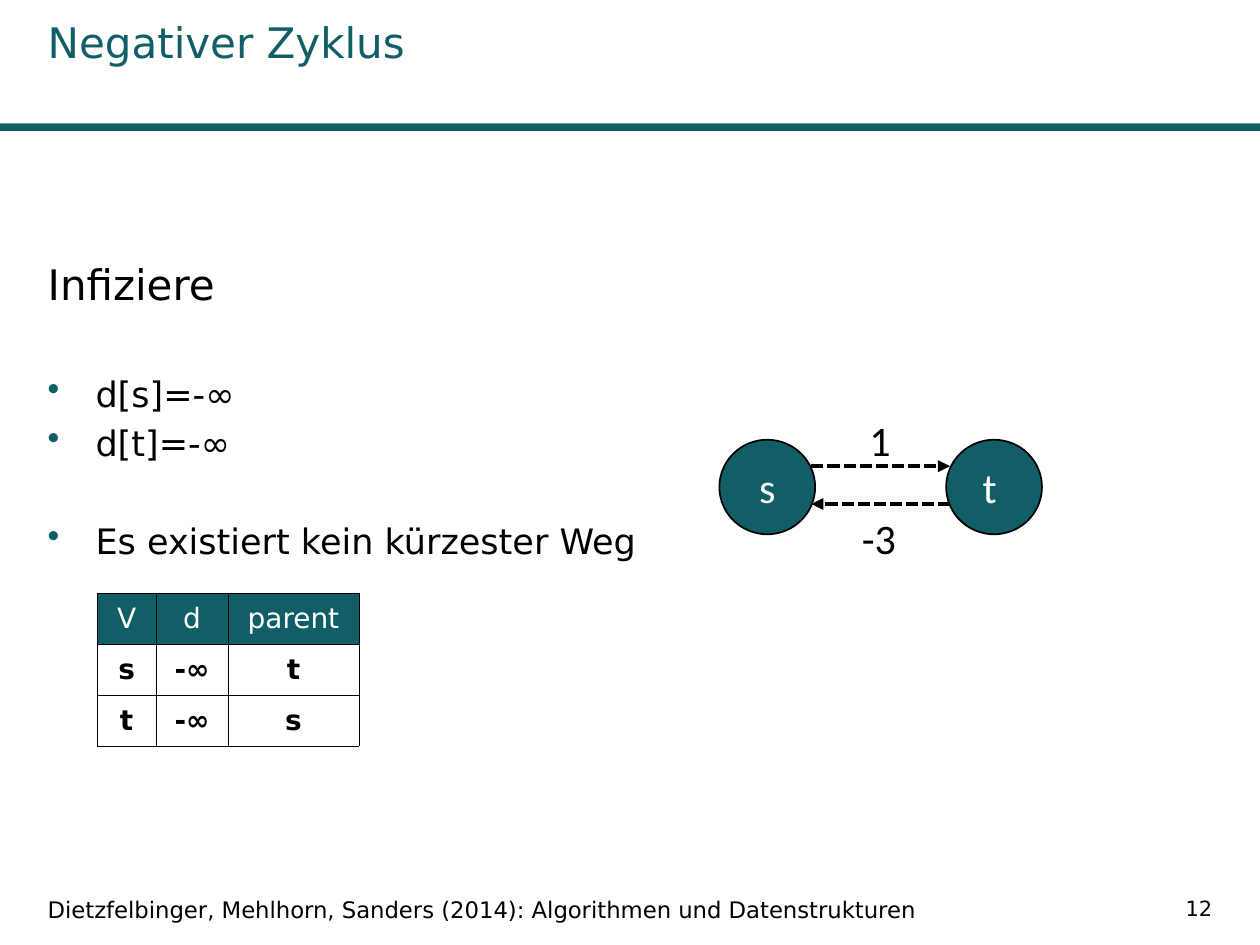
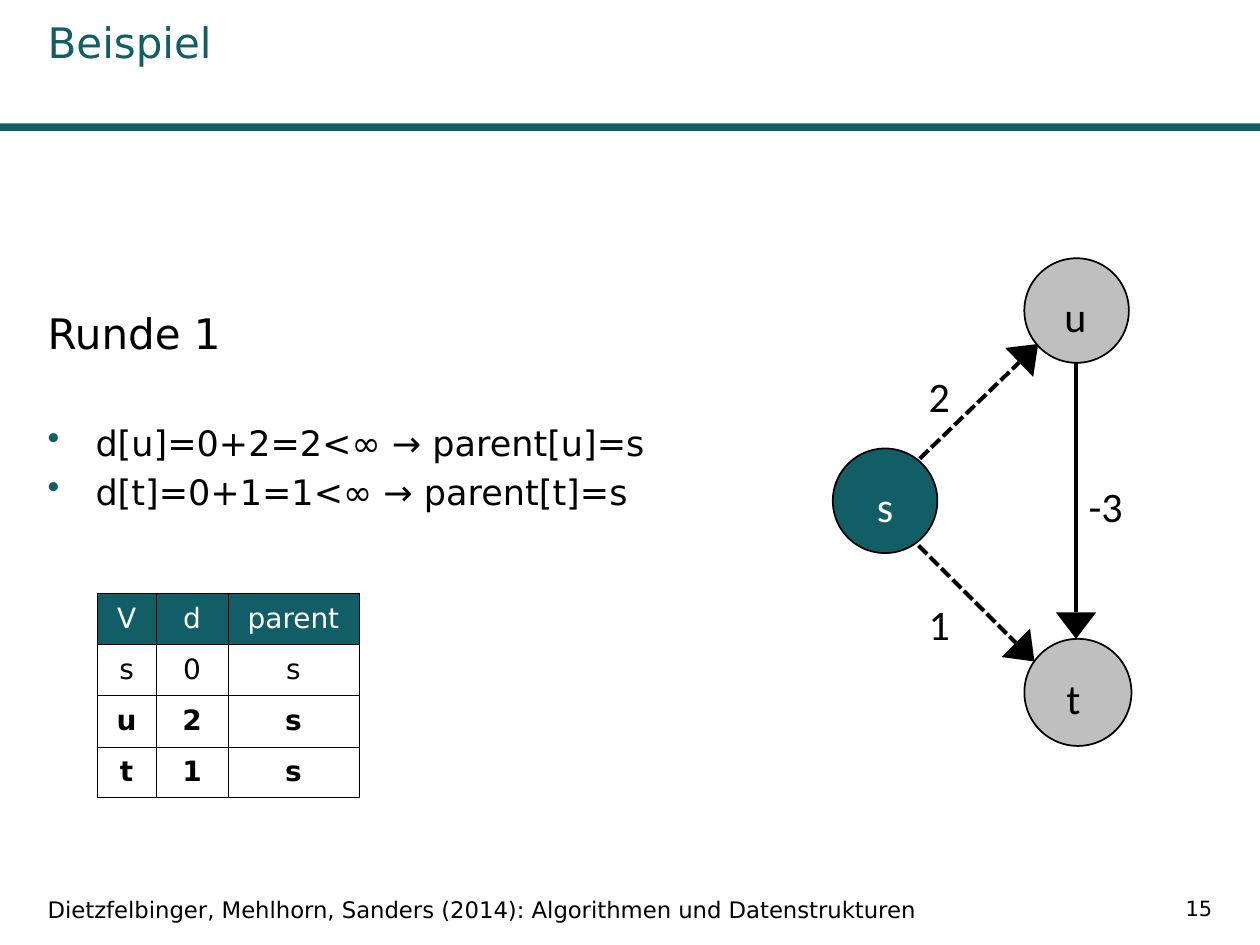
from dataclasses import dataclass
from math import hypot

from lxml.etree import SubElement
from pptx import Presentation
from pptx.dml.color import RGBColor
from pptx.enum.dml import MSO_LINE
from pptx.enum.shapes import MSO_CONNECTOR, MSO_SHAPE
from pptx.enum.text import MSO_ANCHOR as Anchor, PP_ALIGN as Align
from pptx.oxml.ns import qn
from pptx.slide import Slide
from pptx.util import Inches, Pt

COLOURS = {
    "teal": "115E67",
    "grey": "BFBFBF",
    "black": "000000",
    "white": "FFFFFF",
}
TEXT_FONT = "DejaVu Sans"
GRAPH_FONT = "Calibri"
SOURCE = "Dietzfelbinger, Mehlhorn, Sanders (2014): Algorithmen und Datenstrukturen"
TABLE_HEADER = ("V", "d", "parent")
COLUMN_WIDTHS = (0.47, 0.57, 1.04)
EDGE_WIDTH = 2.3
HEAD_LENGTH = 0.21
HEAD_HALF_WIDTH = 0.16


@dataclass
class Node:
    label: str
    left: float
    top: float
    width: float
    height: float
    fill: str = "teal"
    colour: str = "white"
    shift_left: float = 0
    shift_down: float = 0


@dataclass
class Edge:
    start: tuple[float, float]
    tip: tuple[float, float]
    dashed: bool = True
    large_head: bool = False


@dataclass
class Weight:
    value: str
    left: float
    top: float


@dataclass
class Bullet:
    text: str
    space_before: float = 4


@dataclass
class Row:
    cells: tuple[str, str, str]
    changed: bool = True


@dataclass
class Step:
    title: str
    number: int
    heading: str
    body_top: float
    bullets: list[Bullet]
    rows: list[Row]
    nodes: list[Node]
    edges: list[Edge]
    weights: list[Weight]


STEPS = [
    Step(
        "Negativer Zyklus", 12, "Infiziere", 2.0,
        [
            Bullet("d[s]=-∞", 36.5),
            Bullet("d[t]=-∞"),
            Bullet("Es existiert kein kürzester Weg", 32),
        ],
        [Row(("s", "-∞", "t")), Row(("t", "-∞", "s"))],
        [
            Node("s", 5.71, 3.49, 0.76, 0.75),
            Node("t", 7.51, 3.49, 0.76, 0.75, shift_left=0.07),
        ],
        [Edge((6.44, 3.7), (7.54, 3.7)), Edge((7.54, 4), (6.44, 4))],
        [Weight("1", 6.9, 3.29), Weight("-3", 6.84, 4.07)],
    ),
    Step(
        "Beispiel", 15, "Runde 1", 2.39,
        [
            Bullet("d[u]=0+2=2<∞ → parent[u]=s", 36.5),
            Bullet("d[t]=0+1=1<∞ → parent[t]=s"),
        ],
        [
            Row(("s", "0", "s"), changed=False),
            Row(("u", "2", "s")),
            Row(("t", "1", "s")),
        ],
        [
            Node("s", 6.61, 3.56, 0.83, 0.83, shift_down=0.08),
            Node("t", 8.13, 5.07, 0.85, 0.85, "grey", "black", 0.07, 0.08),
            Node("u", 8.13, 2.05, 0.83, 0.83, "grey", "black", 0.02, 0.08),
        ],
        [
            Edge((7.3, 3.64), (8.24, 2.73), large_head=True),
            Edge((7.29, 4.33), (8.21, 5.25), large_head=True),
            Edge((8.54, 2.88), (8.54, 5.07), dashed=False, large_head=True),
        ],
        [Weight("-3", 8.64, 3.81), Weight("2", 7.37, 2.94), Weight("1", 7.37, 4.75)],
    ),
]


def rgb(colour: str) -> RGBColor:
    return RGBColor.from_string(COLOURS[colour])


def style(paragraph, size: float, colour: str = "black", font: str = TEXT_FONT,
          align=Align.LEFT, bold: bool = False) -> None:
    paragraph.alignment = align
    for run in paragraph.runs:
        run.font.name = font
        run.font.size = Pt(size)
        run.font.bold = bold
        run.font.color.rgb = rgb(colour)


def paint(shape, fill: str, outlined: bool = False) -> None:
    shape.shadow.inherit = False
    shape.fill.solid()
    shape.fill.fore_color.rgb = rgb(fill)
    if outlined:
        shape.line.color.rgb = rgb("black")
        shape.line.width = Pt(1)
    else:
        shape.line.fill.background()


def set_margins(frame, left: float = 0, top: float = 0, right: float = 0, bottom: float = 0) -> None:
    frame.margin_left, frame.margin_right = Inches(left), Inches(right)
    frame.margin_top, frame.margin_bottom = Inches(top), Inches(bottom)


def add_text(slide: Slide, text: str, left: float, top: float, width: float, height: float,
             size: float, colour: str = "black", font: str = TEXT_FONT, align=Align.LEFT):
    frame = slide.shapes.add_textbox(
        Inches(left), Inches(top), Inches(width), Inches(height)).text_frame
    frame.word_wrap = True
    frame.text = text
    style(frame.paragraphs[0], size, colour, font, align)
    return frame


def add_furniture(slide: Slide, step: Step) -> None:
    band = slide.shapes.add_shape(
        MSO_SHAPE.RECTANGLE, 0, Inches(0.98), Inches(10), Inches(0.06))
    paint(band, "teal")
    add_text(slide, step.title, 0.28, 0.08, 5.98, 0.79, 24, "teal")
    add_text(slide, SOURCE, 0.28, 7.06, 7.68, 0.31, 13)
    add_text(slide, str(step.number), 8.15, 7.06, 1.57, 0.31, 12, align=Align.RIGHT)


def add_body(slide: Slide, step: Step) -> None:
    frame = add_text(slide, step.heading, 0.28, step.body_top, 9.45, 2.6, 24)
    for bullet in step.bullets:
        paragraph = frame.add_paragraph()
        paragraph.text = bullet.text
        paragraph.space_before = Pt(bullet.space_before)
        style(paragraph, 20)
        properties = paragraph._p.get_or_add_pPr()
        properties.set("marL", str(Inches(0.38)))
        properties.set("indent", str(-Inches(0.38)))
        bullet_colour = SubElement(properties, qn("a:buClr"))
        SubElement(bullet_colour, qn("a:srgbClr"), val=COLOURS["teal"])
        SubElement(properties, qn("a:buChar"), char="•")


def add_cell_borders(cell) -> None:
    properties = cell._tc.get_or_add_tcPr()
    for position, side in enumerate(("lnL", "lnR", "lnT", "lnB")):
        border = properties.makeelement(qn(f"a:{side}"), {"w": str(Pt(0.06))})
        fill = SubElement(border, qn("a:solidFill"))
        SubElement(fill, qn("a:srgbClr"), val=COLOURS["black"])
        properties.insert(position, border)


def add_distances(slide: Slide, rows: list[Row]) -> None:
    lines = [Row(TABLE_HEADER, changed=False), *rows]
    table = slide.shapes.add_table(
        len(lines), len(TABLE_HEADER), Inches(0.77), Inches(4.71),
        Inches(sum(COLUMN_WIDTHS)), Inches(0.4 * len(lines))).table
    table.horz_banding = False
    for column, width in zip(table.columns, COLUMN_WIDTHS):
        column.width = Inches(width)
    for index, line in enumerate(lines):
        inner = 0 < index < len(rows)
        table.rows[index].height = Inches(0.41 if inner else 0.4)
        fill, colour = ("white", "black") if index else ("teal", "white")
        for column, text in enumerate(line.cells):
            cell = table.cell(index, column)
            cell.text = text
            cell.vertical_anchor = Anchor.MIDDLE
            cell.fill.solid()
            cell.fill.fore_color.rgb = rgb(fill)
            style(cell.text_frame.paragraphs[0], 16, colour,
                  align=Align.CENTER, bold=line.changed)
            add_cell_borders(cell)


def add_node(slide: Slide, node: Node) -> None:
    circle = slide.shapes.add_shape(
        MSO_SHAPE.OVAL, Inches(node.left), Inches(node.top),
        Inches(node.width), Inches(node.height))
    paint(circle, node.fill, outlined=True)
    frame = circle.text_frame
    frame.text = node.label
    frame.vertical_anchor = Anchor.MIDDLE
    set_margins(frame, top=node.shift_down, right=node.shift_left)
    style(frame.paragraphs[0], 24, node.colour, GRAPH_FONT, Align.CENTER)


def add_edge(slide: Slide, edge: Edge) -> None:
    (start_x, start_y), (tip_x, tip_y) = edge.start, edge.tip
    end_x, end_y = edge.tip
    if edge.large_head:
        length = hypot(tip_x - start_x, tip_y - start_y)
        along_x, along_y = (tip_x - start_x) / length, (tip_y - start_y) / length
        end_x, end_y = tip_x - HEAD_LENGTH * along_x, tip_y - HEAD_LENGTH * along_y
        side_x, side_y = -HEAD_HALF_WIDTH * along_y, HEAD_HALF_WIDTH * along_x
        outline = slide.shapes.build_freeform(Inches(tip_x), Inches(tip_y))
        outline.add_line_segments([
            (Inches(end_x + side_x), Inches(end_y + side_y)),
            (Inches(end_x - side_x), Inches(end_y - side_y)),
        ])
        paint(outline.convert_to_shape(), "black")
    connector = slide.shapes.add_connector(
        MSO_CONNECTOR.STRAIGHT, Inches(start_x), Inches(start_y), Inches(end_x), Inches(end_y))
    connector.line.color.rgb = rgb("black")
    connector.line.width = Pt(EDGE_WIDTH)
    if edge.dashed:
        connector.line.dash_style = MSO_LINE.SQUARE_DOT
    properties = connector._element.spPr
    if not edge.large_head:
        SubElement(properties.find(qn("a:ln")), qn("a:tailEnd"), type="triangle")
    SubElement(properties, qn("a:effectLst"))


def add_weight(slide: Slide, weight: Weight) -> None:
    frame = add_text(slide, weight.value, weight.left, weight.top, 0.33, 0.46, 24, font=GRAPH_FONT)
    set_margins(frame)


def main() -> None:
    presentation = Presentation()
    presentation.slide_width = Inches(10)
    presentation.slide_height = Inches(7.5)
    for step in STEPS:
        slide = presentation.slides.add_slide(presentation.slide_layouts[6])
        add_furniture(slide, step)
        add_body(slide, step)
        add_distances(slide, step.rows)
        for node in step.nodes:
            add_node(slide, node)
        for edge in step.edges:
            add_edge(slide, edge)
        for weight in step.weights:
            add_weight(slide, weight)
    presentation.save("out.pptx")


if __name__ == "__main__":
    main()
